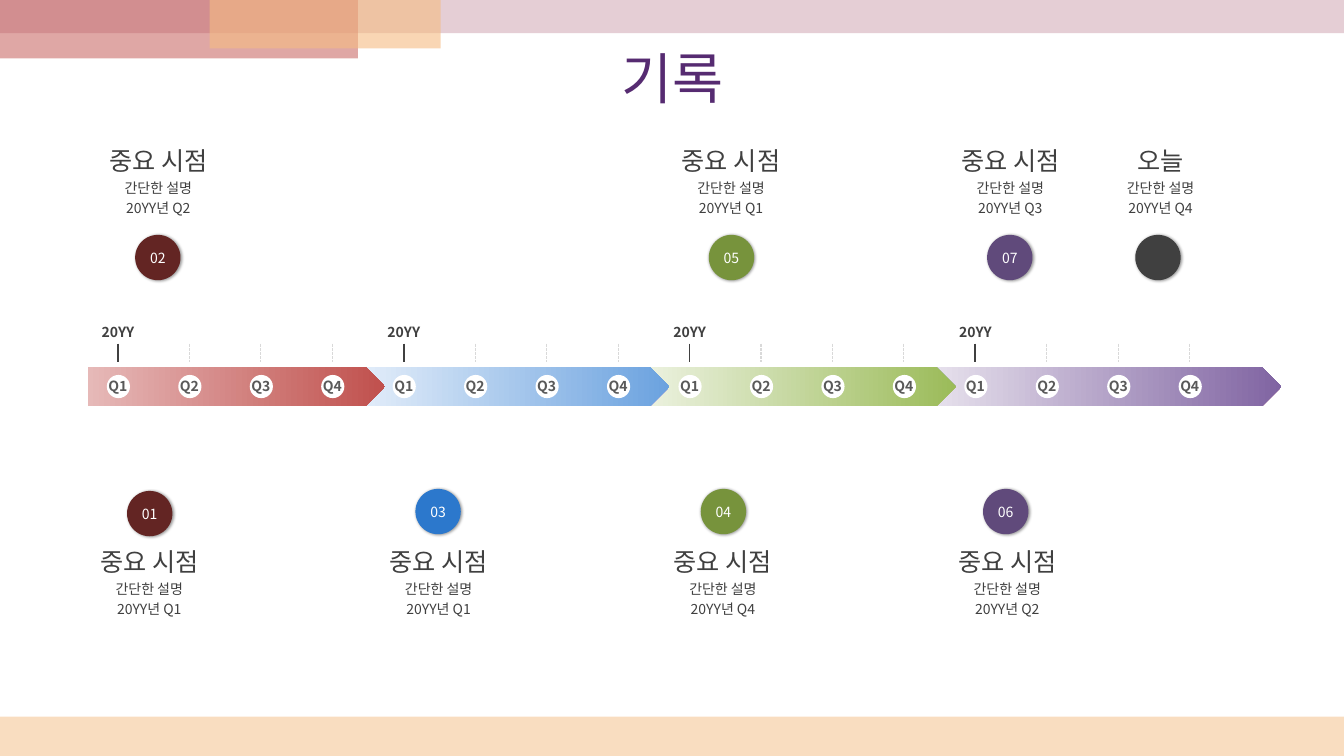
from lxml.etree import SubElement
from pptx import Presentation
from pptx.dml.color import RGBColor
from pptx.enum.dml import MSO_LINE
from pptx.enum.shapes import MSO_CONNECTOR, MSO_SHAPE
from pptx.enum.text import MSO_ANCHOR, PP_ALIGN
from pptx.oxml.ns import qn
from pptx.util import Inches, Pt

FONT = "Noto Sans CJK KR"
COLORS = {
    "white": "FFFFFF", "dark": "404040", "grey": "595959", "tick": "D9D9D9",
    "title": "562B71", "peach": "F5BC83", "pink": "CC9EAC", "red": "C0504D",
    "maroon": "632523", "blue": "2C78CC", "green": "77933C", "purple": "604A7B",
    "red_light": "E6B9B8", "blue_light": "E1ECF9", "blue_end": "6BA2DF",
    "green_light": "EBF1DE", "green_end": "9BBB59",
    "purple_light": "E6E0EC", "purple_end": "8064A2",
}


def add_filled(kind, left, top, width, height, color):
    shape = slide.shapes.add_shape(kind, Inches(left), Inches(top), Inches(width), Inches(height))
    shape.shadow.inherit = False
    shape.line.fill.background()
    shape.fill.solid()
    shape.fill.fore_color.rgb = RGBColor.from_string(COLORS[color])
    return shape


def write(shape, text, size, color, bold=False, anchor=MSO_ANCHOR.TOP):
    frame = shape.text_frame
    frame.word_wrap = True
    frame.vertical_anchor = anchor
    frame.margin_left = frame.margin_right = frame.margin_top = frame.margin_bottom = 0
    paragraph = frame.paragraphs[0]
    paragraph.alignment = PP_ALIGN.CENTER
    run = paragraph.add_run()
    run.text = text
    run.font.size = Pt(size)
    run.font.bold = bold
    run.font.color.rgb = RGBColor.from_string(COLORS[color])
    run.font.name = FONT
    SubElement(run.font._element, qn("a:ea"), typeface=FONT)


presentation = Presentation()
presentation.slide_width = Inches(13.33)
presentation.slide_height = Inches(7.5)
slide = presentation.slides.add_slide(presentation.slide_layouts[6])

bands = [
    (0, 7.11, 13.33, 0.39, "peach", 50),
    (0, 0, 13.33, 0.33, "pink", 50),
    (0, 0, 3.55, 0.58, "red", 50),
    (2.08, 0, 2.29, 0.48, "peach", 60),
]
for left, top, width, height, color, opacity in bands:
    band = add_filled(MSO_SHAPE.RECTANGLE, left, top, width, height, color)
    color_element = band._element.spPr.find(qn("a:solidFill"))[0]
    SubElement(color_element, qn("a:alpha"), val=str(opacity * 1000))

title = slide.shapes.add_textbox(Inches(0.47), Inches(0.47), Inches(12.4), Inches(0.59))
write(title, "기록", 39.6, "title", anchor=MSO_ANCHOR.MIDDLE)

milestones = [
    ("01", "중요 시점", "Q1", 0.77, 5.42, 1.26, 4.87, "maroon"),
    ("02", "중요 시점", "Q2", 0.86, 1.44, 1.34, 2.33, "maroon"),
    ("03", "중요 시점", "Q1", 3.64, 5.42, 4.12, 4.85, "blue"),
    ("04", "중요 시점", "Q4", 6.46, 5.42, 6.95, 4.85, "green"),
    ("05", "중요 시점", "Q1", 6.54, 1.44, 7.03, 2.33, "green"),
    ("06", "중요 시점", "Q2", 9.28, 5.42, 9.75, 4.85, "purple"),
    ("07", "중요 시점", "Q3", 9.31, 1.44, 9.79, 2.33, "purple"),
    ("", "오늘", "Q4", 10.8, 1.44, 11.26, 2.33, "dark"),
]
for number, heading, quarter, left, top, circle_left, circle_top, color in milestones:
    captions = [
        (heading, 0, 0.3, 18),
        ("간단한 설명", 0.34, 0.17, 10),
        (f"20YY년 {quarter}", 0.54, 0.26, 10),
    ]
    for text, offset, height, size in captions:
        caption = slide.shapes.add_textbox(
            Inches(left), Inches(top + offset), Inches(1.42), Inches(height))
        write(caption, text, size, "dark")

    circle = add_filled(MSO_SHAPE.OVAL, circle_left, circle_top, 0.45, 0.45, color)
    effects = circle._element.spPr.find(qn("a:effectLst"))
    shadow = SubElement(effects, qn("a:outerShdw"), blurRad=str(Pt(2)), dist=str(Pt(1)),
                        dir=str(45 * 60000), algn="tl", rotWithShape="0")
    shadow_color = SubElement(shadow, qn("a:srgbClr"), val="000000")
    SubElement(shadow_color, qn("a:alpha"), val="40000")
    if number:
        write(circle, number, 10, "white", anchor=MSO_ANCHOR.MIDDLE)

first_tick, last_tick = 1.17, 11.8
quarter_step = (last_tick - first_tick) / 15
years = [
    (0, 0.87, 2.95, "red_light", "red"),
    (1, 3.62, 3.02, "blue_light", "blue_end"),
    (2, 6.44, 3.04, "green_light", "green_end"),
    (3, 9.28, 3.43, "purple_light", "purple_end"),
]
for year, left, width, start_color, end_color in reversed(years):
    arrow = add_filled(MSO_SHAPE.RIGHT_ARROW, left, 3.64, width, 0.39, start_color)
    arrow.adjustments[0] = 1
    arrow.adjustments[1] = 0.5
    arrow.fill.gradient()
    arrow.fill.gradient_angle = 0
    for stop, color in zip(arrow.fill.gradient_stops, (start_color, end_color)):
        stop.color.rgb = RGBColor.from_string(COLORS[color])

    for quarter in range(4):
        center = first_tick + (year * 4 + quarter) * quarter_step
        tick = slide.shapes.add_connector(
            MSO_CONNECTOR.STRAIGHT, Inches(center), Inches(3.41), Inches(center), Inches(3.59))
        tick.line.color.rgb = RGBColor.from_string(COLORS["tick" if quarter else "dark"])
        tick.line.width = Pt(0.75 if quarter else 1.25)
        if quarter:
            tick.line.dash_style = MSO_LINE.SQUARE_DOT
        else:
            year_label = slide.shapes.add_textbox(
                Inches(center - 0.31), Inches(3.21), Inches(0.62), Inches(0.26))
            write(year_label, "20YY", 10, "dark", bold=True)
        SubElement(tick._element.spPr, qn("a:effectLst"))

        add_filled(MSO_SHAPE.OVAL, center - 0.11, 3.72, 0.23, 0.23, "white")
        quarter_label = slide.shapes.add_textbox(
            Inches(center - 0.31 / 2), Inches(3.75), Inches(0.31), Inches(0.16))
        write(quarter_label, f"Q{quarter + 1}", 10, "grey", bold=True, anchor=MSO_ANCHOR.MIDDLE)

presentation.save("out.pptx")
